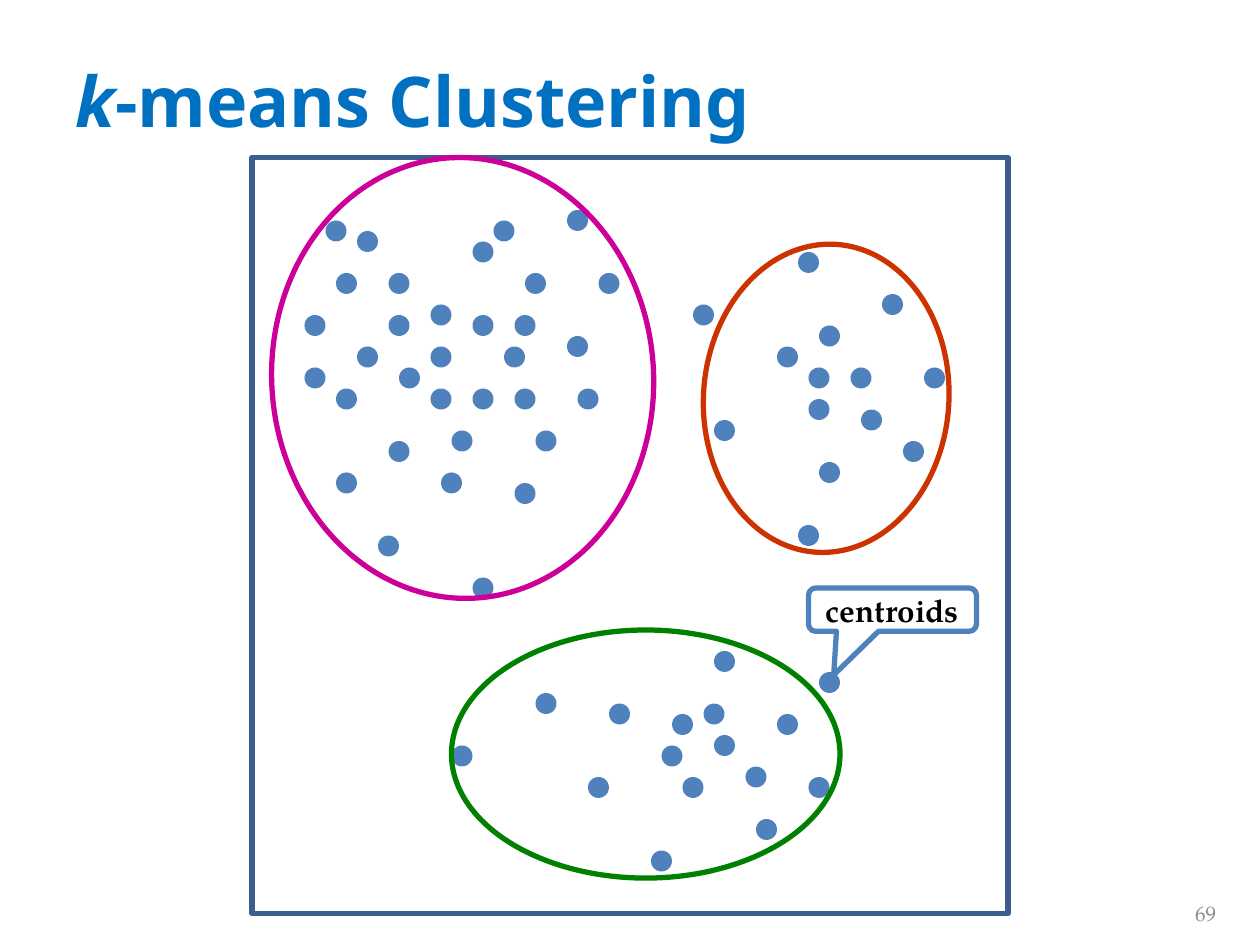
from pptx import Presentation
from pptx.dml.color import RGBColor
from pptx.enum.shapes import MSO_SHAPE
from pptx.enum.text import MSO_ANCHOR, PP_ALIGN
from pptx.util import Emu, Pt

RECT = MSO_SHAPE.RECTANGLE
OVAL = MSO_SHAPE.OVAL
CALLOUT = MSO_SHAPE.ROUNDED_RECTANGULAR_CALLOUT
MIDDLE = MSO_ANCHOR.MIDDLE
LEFT, CENTER, RIGHT = PP_ALIGN.LEFT, PP_ALIGN.CENTER, PP_ALIGN.RIGHT

SANS = "Noto Sans"
SERIF = "TeX Gyre Pagella"

TITLE_BLUE = RGBColor(0x00, 0x70, 0xC0)
FRAME_BLUE = RGBColor(0x3A, 0x5F, 0x8C)
POINT_BLUE = RGBColor(0x4F, 0x81, 0xBD)
MAGENTA = RGBColor(0xCC, 0x00, 0x99)
ORANGE = RGBColor(0xCC, 0x33, 0x00)
GREEN = RGBColor(0x00, 0x80, 0x00)
BLACK = RGBColor(0x00, 0x00, 0x00)
GRAY = RGBColor(0x8C, 0x8C, 0x8C)

PX = 9525  # EMU per px, 96 px to the inch
GRID = 8   # px per step of the point grid
POINT = 2 * GRID

# Top left corners of the data points, in grid steps
MAGENTA_POINTS = [
    (54, 20), (31, 21), (47, 21), (34, 22), (45, 23), (32, 26), (37, 26),
    (50, 26), (57, 26), (41, 29), (29, 30), (37, 30), (45, 30), (49, 30),
    (54, 32), (34, 33), (41, 33), (48, 33), (29, 35), (38, 35), (32, 37),
    (41, 37), (45, 37), (49, 37), (55, 37), (43, 41), (51, 41), (37, 42),
    (32, 45), (42, 45), (49, 46), (36, 51), (45, 55),
]
ORANGE_POINTS = [
    (76, 24), (84, 28), (66, 29), (78, 31), (74, 33), (77, 35), (81, 35),
    (88, 35), (77, 38), (82, 39), (68, 40), (86, 42), (78, 44), (76, 50),
]
GREEN_POINTS = [
    (68, 62), (78, 64), (51, 66), (58, 67), (67, 67), (64, 68), (74, 68),
    (68, 70), (43, 71), (63, 71), (71, 73), (56, 74), (65, 74), (77, 74),
    (72, 78), (62, 81),
]

# Left, top, width, height, rotation, colour
CLUSTERS = [
    (207, 120, 291, 336, -3.2, MAGENTA),
    (536, 186, 187, 235, 3.7, ORANGE),
    (344, 480, 296, 189, 0, GREEN),
]


def box(*px):
    return [Emu(v * PX) for v in px]


def add_shape(s, kind, at, fill=None, line=None, rotation=0):
    sp = s.shapes.add_shape(kind, *box(*at))
    sp.shadow.inherit = False
    sp.rotation = rotation
    if fill is None:
        sp.fill.background()
    else:
        sp.fill.solid()
        sp.fill.fore_color.rgb = fill
    if line is None:
        sp.line.fill.background()
    else:
        sp.line.color.rgb = line
        sp.line.width = Pt(3)
    return sp


def write(sp, text, font, size, color, bold=False, align=LEFT, italic_start=""):
    """Fill a shape with one paragraph, opened by an optional italic run."""
    tf = sp.text_frame
    tf.word_wrap = True
    tf.vertical_anchor = MIDDLE
    p = tf.paragraphs[0]
    p.alignment = align
    for part, italic in ((italic_start, True), (text, False)):
        if part:
            r = p.add_run()
            r.text = part
            r.font.name = font
            r.font.size = Pt(size)
            r.font.color.rgb = color
            r.font.bold = bold
            r.font.italic = italic


def add_text(s, at, text, **style):
    write(s.shapes.add_textbox(*box(*at)), text, **style)


def add_points(s, points):
    for col, row in points:
        add_shape(s, OVAL, (col * GRID, row * GRID, POINT, POINT), fill=POINT_BLUE)


def add_callout(s, at, text, tip):
    sp = add_shape(s, CALLOUT, at, line=POINT_BLUE)
    sp.adjustments[0], sp.adjustments[1] = tip
    tf = sp.text_frame
    tf.margin_left = tf.margin_right = tf.margin_top = tf.margin_bottom = 0
    write(sp, text, font=SERIF, size=18, color=BLACK, bold=True, align=CENTER)


def main():
    prs = Presentation()
    prs.slide_width, prs.slide_height = box(960, 720)
    s = prs.slides.add_slide(prs.slide_layouts[6])

    add_text(s, (48, 16, 864, 120), "-means Clustering", italic_start="k",
             font=SANS, size=40, color=TITLE_BLUE, bold=True)
    add_shape(s, RECT, (192, 120, 576, 576), line=FRAME_BLUE)
    for points in (MAGENTA_POINTS, ORANGE_POINTS, GREEN_POINTS):
        add_points(s, points)
    for *at, rotation, color in CLUSTERS:
        add_shape(s, OVAL, at, line=color, rotation=rotation)
    add_callout(s, (616, 448, 128, 33), "centroids", tip=(-0.35, 1.51))
    add_text(s, (712, 677, 224, 38), "69",
             font=SERIF, size=12, color=GRAY, align=RIGHT)

    prs.save("out.pptx")


if __name__ == "__main__":
    main()
